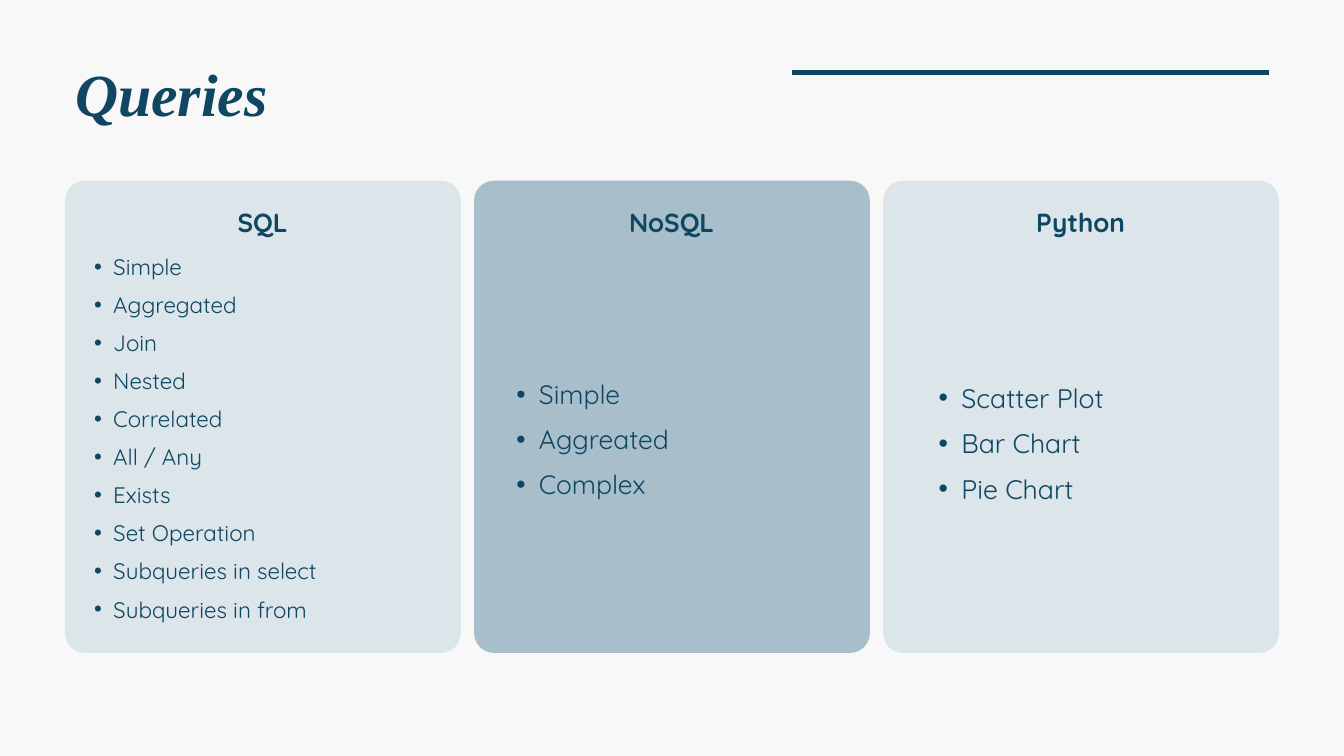
"""Build the Queries slide with three cards of query types."""
import pptx
import pptx.dml.color
import pptx.enum.shapes
import pptx.enum.text
import pptx.oxml.ns
import pptx.util
from lxml import etree
from pptx.util import Cm

COLORS = {"background": "F8F8F8", "navy": "0F4662", "light": "DBE5EA", "medium": "A9BECB"}


def color(name):
    return pptx.dml.color.RGBColor.from_string(COLORS[name])


def add_text(slide, box, lines, size, spacing, font="Quicksand", bold=False,
             italic=False, centered=False, indent=None):
    frame = slide.shapes.add_textbox(*map(Cm, box)).text_frame
    frame.word_wrap = True
    frame.margin_left = frame.margin_right = frame.margin_top = frame.margin_bottom = 0
    for index, line in enumerate(lines):
        paragraph = frame.paragraphs[0] if index == 0 else frame.add_paragraph()
        paragraph.text = line
        if indent:
            paragraph.level = 1
            properties = paragraph._p.get_or_add_pPr()
            properties.set("marL", str(Cm(2 * indent)))
            properties.set("indent", str(Cm(-indent)))
            bullet_font = etree.SubElement(properties, pptx.oxml.ns.qn("a:buFont"))
            bullet_font.set("typeface", "Arial")
            bullet = etree.SubElement(properties, pptx.oxml.ns.qn("a:buChar"))
            bullet.set("char", "•")
        if centered:
            paragraph.alignment = pptx.enum.text.PP_ALIGN.CENTER
        paragraph.line_spacing = pptx.util.Pt(spacing)
        paragraph.font.name = font
        paragraph.font.size = pptx.util.Pt(size)
        paragraph.font.bold = bold
        paragraph.font.italic = italic
        paragraph.font.color.rgb = color("navy")


presentation = pptx.Presentation()
presentation.slide_width = Cm(50.8)
presentation.slide_height = Cm(28.575)
slide = presentation.slides.add_slide(presentation.slide_layouts[6])
slide.background.fill.solid()
slide.background.fill.fore_color.rgb = color("background")

add_text(slide, (2.84, 1.68, 22.56, 3.02), ["Queries"], 64, 89.6,
         font="Times New Roman", bold=True, italic=True)

cards = [
    ("SQL", "light", (2.84, 9.14, 14.17, 14.2), 24, 40.8, 0.72,
     ["Simple", "Aggregated", "Join", "Nested", "Correlated", "All / Any", "Exists",
      "Set Operation", "Subqueries in select", "Subqueries in from"]),
    ("NoSQL", "medium", (18.67, 13.79, 15.47, 4.9), 28.4, 48.2, 0.85,
     ["Simple", "Aggreated", "Complex"]),
    ("Python", "light", (34.62, 13.92, 13.77, 4.95), 28.7, 48.7, 0.86,
     ["Scatter Plot", "Bar Chart", "Pie Chart"]),
]
card_pitch = 15.46
for column, (heading, fill, list_box, size, spacing, indent, items) in enumerate(cards):
    offset = column * card_pitch
    card = slide.shapes.add_shape(
        pptx.enum.shapes.MSO_SHAPE.ROUNDED_RECTANGLE,
        Cm(2.46 + offset), Cm(6.83), Cm(14.96), Cm(17.85))
    card.adjustments[0] = 0.05
    card.shadow.inherit = False
    card.fill.solid()
    card.fill.fore_color.rgb = color(fill)
    card.line.fill.background()
    add_text(slide, (2.84 + offset, 7.59, 14.17, 1.37), [heading], 28, 39.2,
             bold=True, centered=True)
    add_text(slide, list_box, items, size, spacing, indent=indent)

rule = slide.shapes.add_connector(
    pptx.enum.shapes.MSO_CONNECTOR.STRAIGHT, Cm(29.92), Cm(2.74), Cm(47.96), Cm(2.74))
rule.line.color.rgb = color("navy")
rule.line.width = pptx.util.Pt(6)
etree.SubElement(rule._element.spPr, pptx.oxml.ns.qn("a:effectLst"))

presentation.save("out.pptx")
